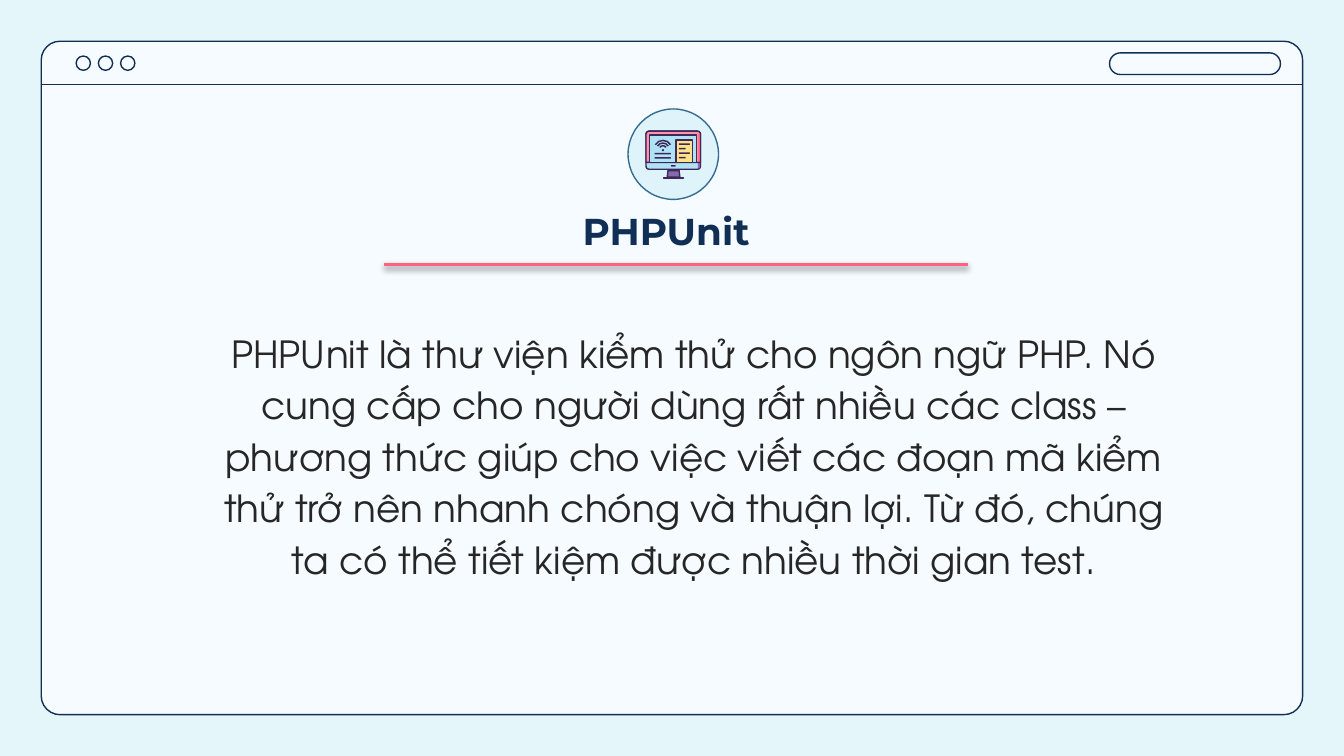
from dataclasses import dataclass
from typing import Optional

from lxml.etree import SubElement
from pptx import Presentation
from pptx.dml.color import RGBColor
from pptx.enum.shapes import MSO_CONNECTOR, MSO_SHAPE
from pptx.enum.text import MSO_ANCHOR, PP_ALIGN
from pptx.oxml.ns import qn
from pptx.util import Cm, Pt

NAVY = RGBColor(0x11, 0x2E, 0x54)
BLUE = RGBColor(0x35, 0x6B, 0x90)
SKY = RGBColor(0xAE, 0xE2, 0xF4)
PALE = RGBColor(0xF5, 0xFB, 0xFF)
PINK = RGBColor(0xFF, 0x93, 0xA9)
ROSE = RGBColor(0xFF, 0x61, 0x80)
LILAC = RGBColor(0x86, 0x6A, 0xAC)
GOLD = RGBColor(0xFF, 0xE1, 0x88)
INK = RGBColor(0x3E, 0x28, 0x5A)
GREY = RGBColor(0x26, 0x26, 0x26)

RECT, ROUND, OVAL = MSO_SHAPE.RECTANGLE, MSO_SHAPE.ROUNDED_RECTANGLE, MSO_SHAPE.OVAL
ARC, TOP = MSO_SHAPE.BLOCK_ARC, MSO_SHAPE.ROUND_2_SAME_RECTANGLE
STAND = MSO_SHAPE.TRAPEZOID


@dataclass
class Part:
    """A preset shape; lengths in cm, line width in points."""
    kind: MSO_SHAPE
    x: float
    y: float
    w: float
    h: float
    fill: Optional[RGBColor] = None
    line: Optional[RGBColor] = None
    width: float = 0.75
    adj: tuple = ()


@dataclass
class Label:
    x: float
    y: float
    w: float
    h: float
    text: str
    font: str
    color: RGBColor
    bold: bool = False


def draw(shapes, part: Part):
    shape = shapes.add_shape(part.kind, Cm(part.x), Cm(part.y), Cm(part.w), Cm(part.h))
    shape.shadow.inherit = False
    for i, value in enumerate(part.adj):
        shape.adjustments[i] = value
    if part.fill is None:
        shape.fill.background()
    else:
        shape.fill.solid()
        shape.fill.fore_color.rgb = part.fill
    if part.line is None:
        shape.line.fill.background()
    else:
        shape.line.color.rgb = part.line
        shape.line.width = Pt(part.width)
    return shape


def rule(shapes, left: float, right: float, y: float, color: RGBColor, width: float):
    """Draw a level line and return its empty effect list."""
    line = shapes.add_connector(MSO_CONNECTOR.STRAIGHT, Cm(left), Cm(y), Cm(right), Cm(y))
    line.line.color.rgb = color
    line.line.width = Pt(width)
    return SubElement(line._element.spPr, qn("a:effectLst"))


def write(shapes, label: Label) -> None:
    box = shapes.add_textbox(Cm(label.x), Cm(label.y), Cm(label.w), Cm(label.h))
    frame = box.text_frame
    frame.word_wrap = True
    frame.vertical_anchor = MSO_ANCHOR.BOTTOM
    frame.margin_left = frame.margin_right = Cm(0.25)
    frame.margin_top = frame.margin_bottom = Cm(0.25)
    para = frame.paragraphs[0]
    para.alignment = PP_ALIGN.CENTER
    para.line_spacing = 1.15
    run = para.add_run()
    run.text = label.text
    run.font.name = label.font
    run.font.size = Pt(20)
    run.font.bold = label.bold
    run.font.color.rgb = label.color


def fade(tree, share: int) -> None:
    """Set the opacity, in percent, of the first colour in the tree."""
    color = next(tree.iter(qn("a:srgbClr")))
    SubElement(color, qn("a:alpha"), val=str(share * 1000))


def window(shapes) -> None:
    left, right = 0.78, 24.62
    draw(shapes, Part(ROUND, left, 0.78, right - left, 12.73, PALE, NAVY, adj=(0.028,)))
    for i in range(3):
        draw(shapes, Part(OVAL, 1.44 + 0.42 * i, 1.06, 0.27, 0.27, line=NAVY))
    draw(shapes, Part(ROUND, 20.97, 1, 3.23, 0.41, line=NAVY, adj=(0.5,)))
    rule(shapes, left, right, 1.6, NAVY, 0.75)


def icon(shapes) -> None:
    badge = draw(shapes, Part(OVAL, 11.87, 2.06, 1.71, 1.71, SKY, BLUE))
    fade(badge._element.spPr, 31)
    group = shapes.add_group_shape().shapes

    # Monitor, screen and page
    parts = [
        Part(STAND, 12.61, 3.2, 0.24, 0.15, LILAC, INK, adj=(0.12,)),
        Part(RECT, 12.63, 3.2, 0.2, 0.04, INK),
        Part(ROUND, 12.53, 3.35, 0.4, 0.03, INK, adj=(0.5,)),
        Part(ROUND, 12.21, 2.48, 1.03, 0.72, SKY, INK, adj=(0.08,)),
        Part(RECT, 13.19, 3.08, 0.04, 0.1, LILAC),
        Part(TOP, 12.21, 2.48, 1.03, 0.59, PINK, INK, adj=(0.1, 0)),
        Part(RECT, 13.2, 2.53, 0.03, 0.52, ROSE),
        Part(RECT, 12.28, 2.55, 0.89, 0.52, SKY, INK),
        Part(RECT, 12.78, 2.65, 0.31, 0.42, GOLD, INK),
        Part(ROUND, 12.68, 3.12, 0.09, 0.03, INK, adj=(0.5,)),
    ]
    # Rows of writing
    parts += [Part(ROUND, 12.83, 2.71 + 0.085 * i, w, 0.03, INK, adj=(0.5,))
              for i, w in enumerate((0.21, 0.13, 0.21, 0.13))]
    parts += [Part(ROUND, 12.37, y, 0.31, 0.03, INK, adj=(0.5,)) for y in (2.89, 2.97)]
    # Signal waves: arcs from 210 to 330 degrees round one centre
    mid, base = 12.53, 2.82
    parts += [Part(ARC, mid - r, base - r, 2 * r, 2 * r, INK, adj=(126, 198, 0.015 / r))
              for r in (0.18, 0.13, 0.08)]
    parts.append(Part(OVAL, mid - 0.02, base, 0.04, 0.04, INK))
    for part in parts:
        draw(group, part)


def main() -> None:
    deck = Presentation()
    deck.slide_width, deck.slide_height = Cm(25.4), Cm(14.29)
    slide = deck.slides.add_slide(deck.slide_layouts[6])
    shapes = slide.shapes

    # Backdrop
    back = slide.background.fill
    back.solid()
    back.fore_color.rgb = SKY
    fade(slide._element, 31)

    window(shapes)
    icon(shapes)

    # Body and title
    write(shapes, Label(
        3.81, 5.74, 18.62, 5.51,
        "PHPUnit là thư viện kiểm thử cho ngôn ngữ PHP. Nó cung cấp cho người dùng "
        "rất nhiều các class – phương thức giúp cho việc viết các đoạn mã kiểm thử "
        "trở nên nhanh chóng và thuận lợi. Từ đó, chúng ta có thể tiết kiệm được "
        "nhiều thời gian test.", "TeX Gyre Adventor", GREY))
    write(shapes, Label(9.25, 3.53, 6.88, 1.5, "PHPUnit ", "Montserrat", NAVY, True))

    # Title rule with a soft shadow
    effect = rule(shapes, 7.26, 18.29, 5, ROSE, 2)
    shade = SubElement(effect, qn("a:outerShdw"), blurRad=str(Pt(3.1)),
                       dist=str(Pt(1.6)), dir="5400000", rotWithShape="0")
    SubElement(shade, qn("a:srgbClr"), val="000000")
    fade(shade, 38)

    deck.save("out.pptx")


if __name__ == "__main__":
    main()
